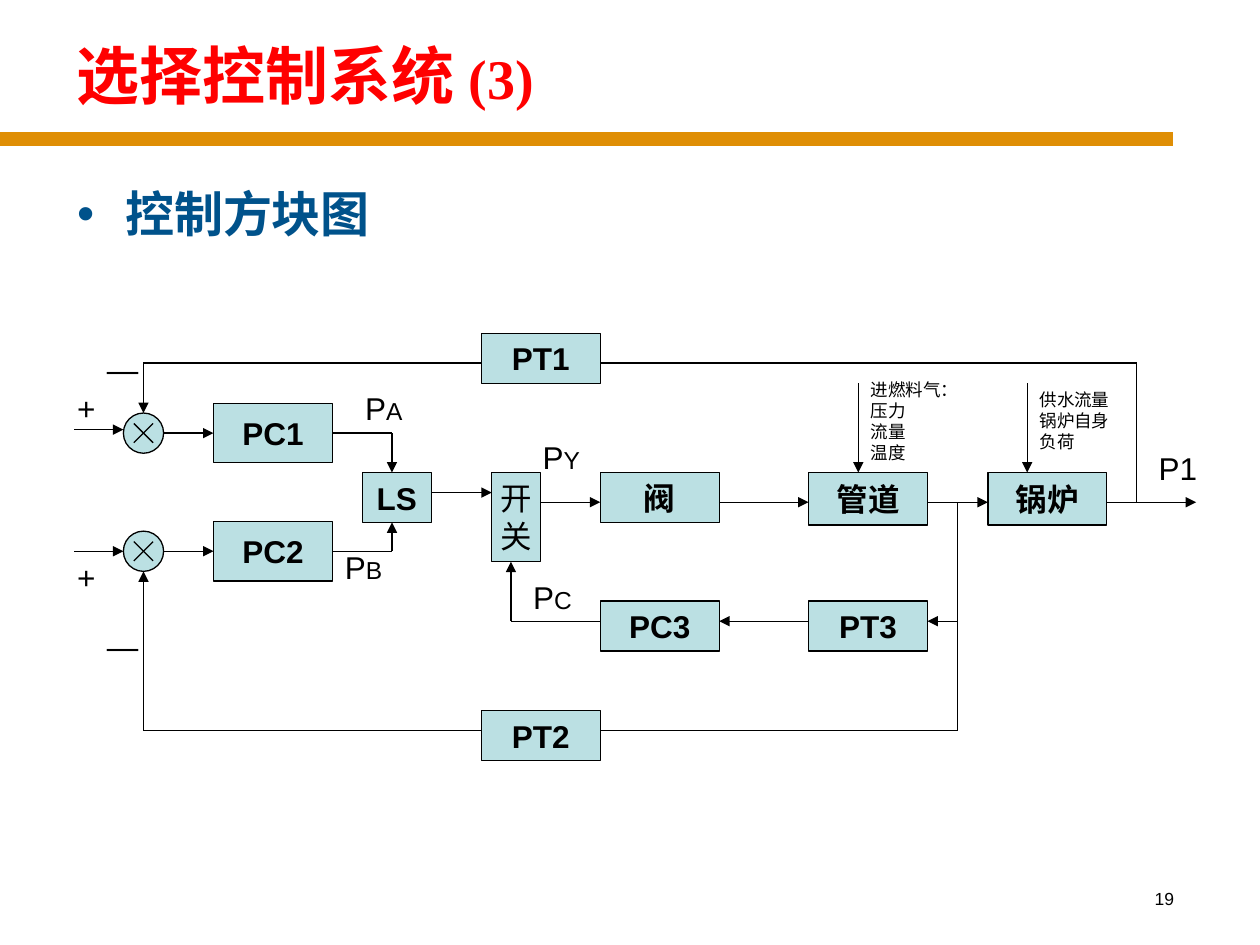
from pptx import Presentation
from pptx.dml.color import RGBColor
from pptx.enum.shapes import MSO_CONNECTOR, MSO_SHAPE as Shape
from pptx.enum.text import MSO_ANCHOR as Anchor, MSO_AUTO_SIZE as AutoSize, PP_ALIGN as Align
from pptx.oxml.ns import qn
from pptx.util import Pt
from lxml import etree

BLACK = RGBColor(0x00, 0x00, 0x00)
RED = RGBColor(0xFF, 0x00, 0x00)
BLUE = RGBColor(0x00, 0x52, 0x8B)
ORANGE = RGBColor(0xDF, 0x8E, 0x05)
PALE = RGBColor(0xBB, 0xE0, 0xE3)


class Diagram:
    font = "Arial"

    def __init__(self, slide):
        self.slide = slide

    def style(self, font, size, color=BLACK, bold=False, name=None):
        font.name, font.size, font.bold = name or self.font, Pt(size), bold
        font.color.rgb = color

    def line(self, start, end, arrow=False, color=BLACK, width=0.75):
        link = self.slide.shapes.add_connector(
            MSO_CONNECTOR.STRAIGHT, *(Pt(v) for v in (*start, *end)))
        link.line.color.rgb, link.line.width = color, Pt(width)
        if arrow:
            etree.SubElement(link.line._get_or_add_ln(), qn("a:tailEnd"), type="triangle")
        etree.SubElement(link._element.spPr, qn("a:effectLst"))
        return link

    def route(self, *points, arrow=True):
        """Chain of straight lines, with the arrowhead on the last one."""
        last = len(points) - 2
        return [self.line(a, b, arrow and i == last)
                for i, (a, b) in enumerate(zip(points, points[1:]))]

    def shape(self, kind, left, top, width, height):
        item = self.slide.shapes.add_shape(kind, Pt(left), Pt(top), Pt(width), Pt(height))
        item.shadow.inherit = False
        item.fill.solid()
        item.fill.fore_color.rgb = PALE
        item.line.color.rgb, item.line.width = BLACK, Pt(0.75)
        return item

    def block(self, text, left, top, width, height, bold=True):
        item = self.shape(Shape.RECTANGLE, left, top, width, height)
        frame = item.text_frame
        frame.word_wrap, frame.vertical_anchor = False, Anchor.MIDDLE
        frame.text = text
        for paragraph in frame.paragraphs:
            paragraph.alignment = Align.CENTER
            self.style(paragraph.font, 18, bold=bold)
        return item

    def summing_point(self, x, y):
        self.shape(Shape.OVAL, x - 11.5, y - 11.5, 23, 23)
        for dx in (-5.5, 5.5):
            self.line((x + dx, y - 5.5), (x - dx, y + 5.5))

    def text(self, text, left, top, width, height, size=18, color=BLACK, bold=False):
        frame = self.slide.shapes.add_textbox(
            Pt(left), Pt(top), Pt(width), Pt(height)).text_frame
        frame.word_wrap, frame.auto_size = True, AutoSize.NONE
        frame.text = text
        for paragraph in frame.paragraphs:
            self.style(paragraph.font, size, color, bold)
        return frame

    def signal(self, suffix, left, top):
        """Pressure signal: a large P with a smaller letter."""
        run = self.text("P", left, top, 54, 29).paragraphs[0].add_run()
        run.text = suffix
        run.font.size = Pt(14)

    def bullet(self, text, left, top, width, height, size, color):
        paragraph = self.text("", left, top, width, height).paragraphs[0]
        props = paragraph._p.get_or_add_pPr()
        props.set("marL", str(Pt(34.5)))
        props.set("indent", str(Pt(-27.5)))
        etree.SubElement(props, qn("a:buFont"), typeface=self.font)
        etree.SubElement(props, qn("a:buChar"), char="•")
        paragraph.add_run().text = text
        self.style(paragraph.font, size, color, True)


def main():
    prs = Presentation()
    prs.slide_width, prs.slide_height = Pt(720), Pt(540)
    diagram = Diagram(prs.slides.add_slide(prs.slide_layouts[6]))

    # Heading, rule, bullet and page number
    diagram.line((0, 79.5), (670.5, 79.5), color=ORANGE, width=8)
    title = diagram.text("选择控制系统 ", 30, 12, 648, 60.5, 36, RED, True)
    title.vertical_anchor = Anchor.MIDDLE
    title.paragraphs[0]._p.get_or_add_pPr().set("marL", str(Pt(6.5)))
    number = title.paragraphs[0].add_run()
    number.text = "(3)"
    diagram.style(number.font, 32, RED, True, "Times New Roman")
    diagram.bullet("控制方块图", 30, 101.5, 631, 371, 28, BLUE)
    page = diagram.text("19", 528, 504, 150, 36, 10)
    page.paragraphs[0].alignment = Align.RIGHT

    # Blocks
    pc1 = diagram.block("PC1", 122, 230.5, 68, 34)
    pc2 = diagram.block("PC2", 122, 298, 68, 34)
    for name, left, top, width, height in (
            ("LS", 207, 270, 39.5, 28.5),
            ("阀", 343, 270, 68, 28.5),
            ("管道", 462, 270, 68, 30),
            ("锅炉", 564.5, 270, 68, 30),
            ("PT1", 275, 190.5, 68, 28.5),
            ("PC3", 343, 343.5, 68, 28.5),
            ("PT3", 462, 343.5, 68, 28.5),
            ("PT2", 275, 406, 68, 28.5)):
        diagram.block(name, left, top, width, height)
    diagram.block("开\n关", 281, 270, 28, 51, bold=False)

    # Controller inputs, with their outputs to the selector
    for controller, y, input_y, selector_y in ((pc1, 247.5, 245.5, 270),
                                               (pc2, 315, 315, 298.5)):
        diagram.summing_point(82, y)
        diagram.line((42.5, input_y), (70.5, input_y), True)
        diagram.line((93.5, y), (122, y), True).end_connect(controller, 1)
        output, _ = diagram.route((190, y), (224, y), (224, selector_y))
        output.begin_connect(controller, 3)

    # Main path
    diagram.line((246.5, 281.5), (281, 281.5), True)
    for start, end in ((309, 343), (411, 462), (530, 564.5), (632.5, 683.5)):
        diagram.line((start, 287), (end, 287), True)

    # Feedback through PT1, PT2 and PT3
    diagram.route((649.5, 287), (649.5, 207.5), (343, 207.5), arrow=False)
    diagram.route((275, 207.5), (82, 207.5), (82, 236))
    diagram.route((547, 287), (547, 417.5), (343, 417.5), arrow=False)
    diagram.route((275, 417.5), (82, 417.5), (82, 326.5))
    diagram.line((547, 355), (530, 355), True)
    diagram.line((462, 355), (411, 355), True)
    diagram.route((343, 355), (292, 355), (292, 321))

    # Disturbances
    for x in (490.5, 587):
        diagram.line((x, 219), (x, 270), True)
    diagram.text("进燃料气：\n压力\n流量\n温度", 490.5, 213, 68.5, 55.5, 10)
    diagram.text("供水流量\n锅炉自身\n负荷", 587, 218.5, 57, 43, 10)

    # Signs and signal names
    for sign, left, top, width in (("+", 37, 219, 34), ("+", 37, 315.5, 34),
                                   ("—", 54, 196.5, 28), ("—", 54, 355, 28),
                                   ("P1", 655, 253, 48)):
        diagram.text(sign, left, top, width, 29)
    for suffix, left, top in (("A", 201.5, 219), ("B", 190, 309.5),
                              ("C", 297.5, 327), ("Y", 303, 247)):
        diagram.signal(suffix, left, top)

    prs.save("out.pptx")


if __name__ == "__main__":
    main()
